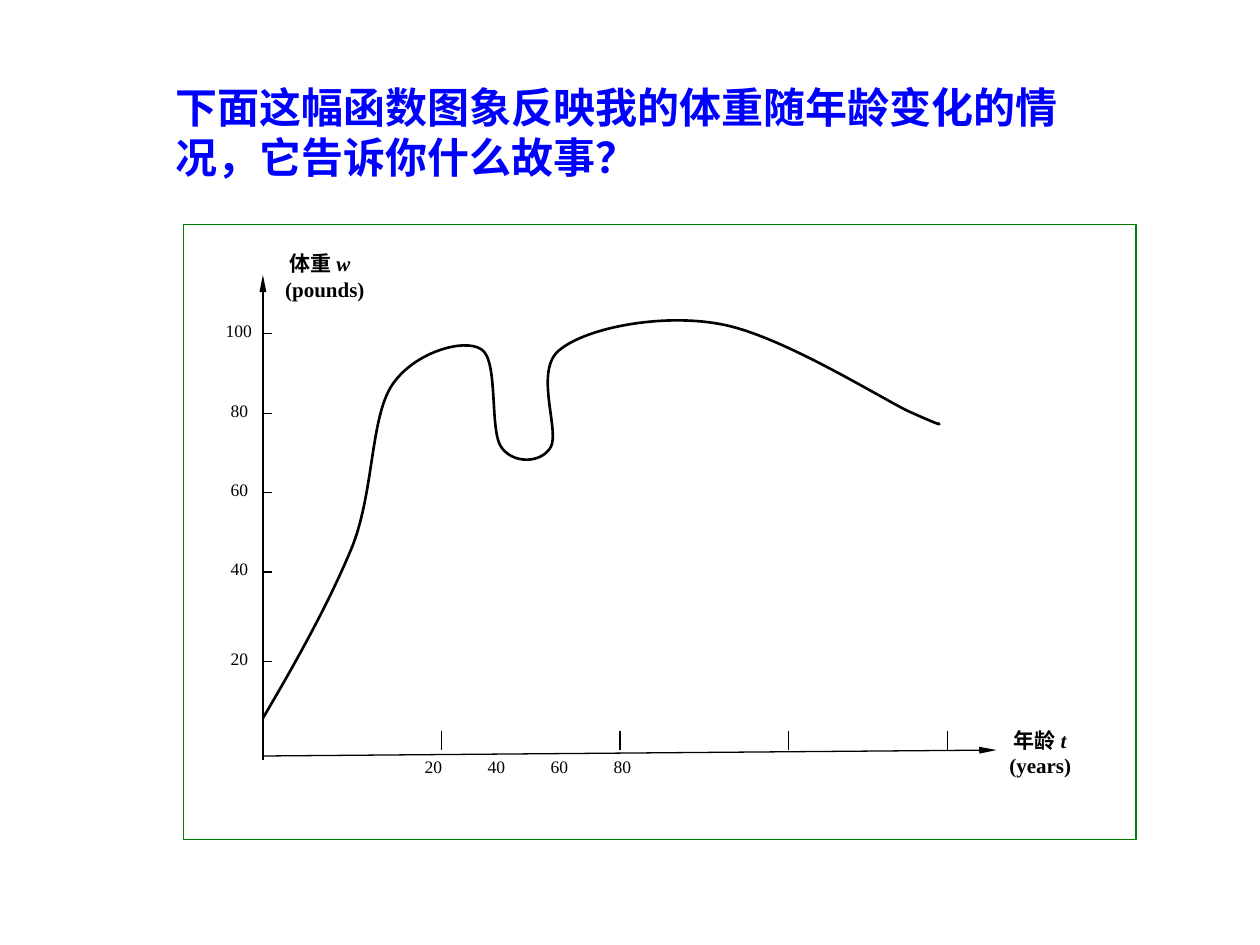
from lxml import etree
from pptx import Presentation
from pptx.dml.color import RGBColor
from pptx.enum.shapes import MSO_CONNECTOR, MSO_SHAPE
from pptx.enum.text import MSO_ANCHOR, PP_ALIGN
from pptx.oxml.ns import qn
from pptx.util import Cm, Pt

LINE, RECT = MSO_CONNECTOR.STRAIGHT, MSO_SHAPE.RECTANGLE
LEFT, TOP = PP_ALIGN.LEFT, MSO_ANCHOR.TOP
COLORS = {"title": "0000FF", "frame": "008000", "paper": "FFFFFF", "ink": "000000"}
LATIN, CJK = "Times New Roman", "Noto Sans CJK SC"


def add_run(p, text, color="ink", **fmt):
    r = p.add_run()
    r.text = text
    for name, value in fmt.items():
        setattr(r.font, name, value)
    r.font.color.rgb = RGBColor.from_string(COLORS[color])
    etree.SubElement(r.font._element, qn("a:ea"), typeface=CJK)


def add_line(x1, y1, x2, y2, arrow=False):
    c = s.shapes.add_connector(LINE, Cm(x1), Cm(y1), Cm(x2), Cm(y2))
    c.line.width = Pt(0.75)
    c.line.color.rgb = RGBColor.from_string(COLORS["ink"])
    if arrow:
        etree.SubElement(c.line._get_or_add_ln(), qn("a:tailEnd"),
                         type="triangle", w="sm", len="lg")
    etree.SubElement(c._element.spPr, qn("a:effectLst"))


prs = Presentation()
prs.slide_width, prs.slide_height = Cm(25.4), Cm(19.05)
s = prs.slides.add_slide(prs.slide_layouts[5])

title = s.shapes.title
title.left, title.top, title.width, title.height = Cm(3.29), Cm(1.5), Cm(18.59), Cm(2.29)
tf = title.text_frame
tf.word_wrap, tf.vertical_anchor = True, TOP
p = tf.paragraphs[0]
p.alignment, p.line_spacing = LEFT, Pt(29)
add_run(p, "下面这幅函数图象反映我的体重随年龄变化的情况，它告诉你什么故事？",
        "title", size=Pt(24), bold=True, name=CJK)

frame = s.shapes.add_shape(RECT, Cm(3.7), Cm(4.52), Cm(19.2), Cm(12.4))
frame.shadow.inherit = False
frame.fill.solid()
frame.fill.fore_color.rgb = RGBColor.from_string(COLORS["paper"])
frame.line.color.rgb = RGBColor.from_string(COLORS["frame"])
frame.line.width = Pt(0.75)

axis_x = 5.3
add_line(axis_x, 15.32, axis_x, 5.54, arrow=True)
add_line(axis_x, 15.24, 20.09, 15.12, arrow=True)

controls = [
    (5.99, 13.31), (6.65, 12.12), (7.11, 11),
    (7.54, 9.88), (7.47, 8.43), (7.9, 7.77),
    (8.33, 7.11), (9.35, 6.81), (9.7, 7.04),
    (10.06, 7.24), (9.86, 8.69), (10.11, 9.02),
    (10.34, 9.35), (10.9, 9.35), (11.1, 9.02),
    (11.3, 8.69), (10.74, 7.44), (11.3, 7.04),
    (11.86, 6.6), (13.34, 6.32), (14.5, 6.53),
    (15.67, 6.73), (17.58, 7.92), (18.29, 8.28),
    (19.02, 8.61), (18.97, 8.56), (18.9, 8.53),
]
builder = s.shapes.build_freeform(Cm(axis_x), Cm(14.48))
builder.add_line_segments([(Cm(x), Cm(y)) for x, y in controls], close=False)
curve = builder.convert_to_shape()
outline = next(curve._element.iter(qn("a:moveTo"))).getparent()
segments = outline.findall(qn("a:lnTo"))
for i in range(0, len(segments), 3):
    bezier = etree.SubElement(outline, qn("a:cubicBezTo"))
    for segment in segments[i:i + 3]:
        bezier.append(segment[0])
        outline.remove(segment)
curve.shadow.inherit = False
curve.fill.background()
curve.line.color.rgb = RGBColor.from_string(COLORS["ink"])
curve.line.width = Pt(1.5)

add_line(6.91, 14.94, 6.91, 14.94)
for x in (8.9, 12.5, 15.9, 19.1):
    add_line(x, 14.73, x, 15.11)

labels = []
for text, y in [("20", 13.33), ("40", 11.53), ("60", 9.93), ("80", 8.33), ("100", 6.73)]:
    add_line(axis_x, y, axis_x + 0.19, y)
    labels.append((text, 4.3, y - 0.4, 1.4, 0 if text == "100" else 0.1))
labels.append(("20\t40\t60\t80", 8.31, 15.12, 12.4, 0))

for text, x, y, width, indent in labels:
    tf = s.shapes.add_textbox(Cm(x), Cm(y), Cm(width), Cm(0.69)).text_frame
    tf.word_wrap = True
    p = tf.paragraphs[0]
    pPr = p._p.get_or_add_pPr()
    pPr.set("indent", str(Cm(indent)))
    if "\t" in text:
        tabs = etree.SubElement(pPr, qn("a:tabLst"))
        for stop in (3.77, 7.12, 10.26):
            etree.SubElement(tabs, qn("a:tab"), pos=str(Cm(stop)), algn="l")
    add_run(p, text, size=Pt(10), name=LATIN)

for x, y, quantity, symbol, unit in [(5.5, 4.93, "体重 ", "w", " (pounds)"),
                                     (20.1, 14.53, "年龄 ", "t ", "(years)")]:
    tf = s.shapes.add_textbox(Cm(x), Cm(y), Cm(2.21), Cm(1.27)).text_frame
    tf.word_wrap = True
    p = tf.paragraphs[0]
    p.line_spacing = Pt(14.5)
    p._p.get_or_add_pPr().set("indent", str(Cm(0.09)))
    bold = {"size": Pt(12), "bold": True, "name": LATIN}
    add_run(p, quantity, **bold)
    add_run(p, symbol, italic=True, **bold)
    add_run(p, unit, **bold)

prs.save("out.pptx")
